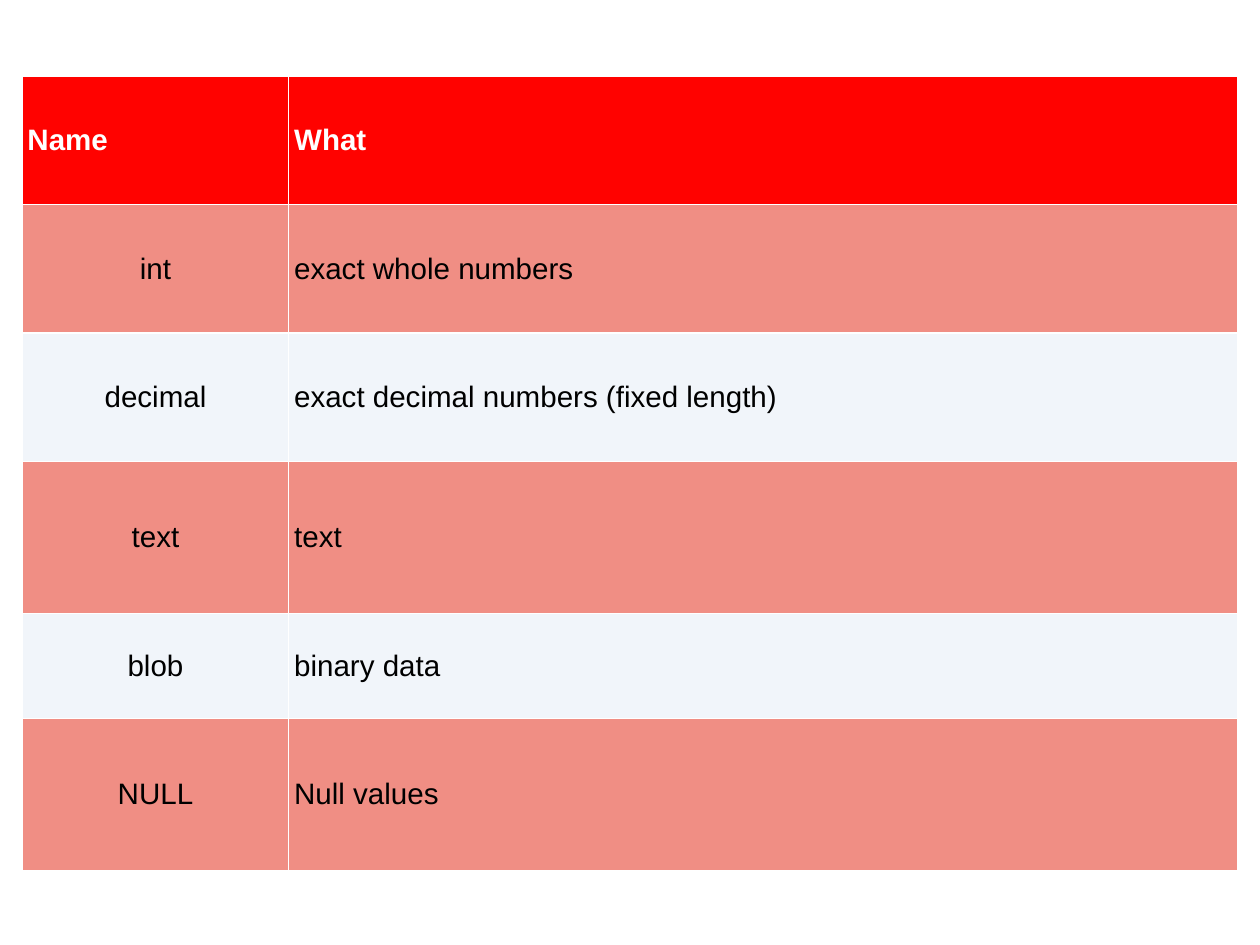
from lxml.etree import SubElement as Sub
from pptx import Presentation
from pptx.dml.color import RGBColor as RGB
from pptx.enum.text import MSO_ANCHOR as Anchor, PP_ALIGN as Align
from pptx.oxml.ns import qn
from pptx.util import Inches, Pt

THEME = {
    "font": "Arial",
    "size": Pt(24),
    "header": RGB.from_string("FF0200"),
    "bands": [RGB.from_string("F08E84"), RGB.from_string("F1F5FA")],
    "header_text": RGB.from_string("FFFFFF"),
    "body_text": RGB.from_string("000000"),
    "border": "FFFFFF",
    "border_width": Pt(1),
}
COLUMN_WIDTHS = [3.01, 10.71]
ROW_HEIGHTS = [1.45, 1.45, 1.45, 1.72, 1.18, 1.72]
DATA_TYPES = [
    ("Name", "What"),
    ("int", "exact whole numbers"),
    ("decimal", "exact decimal numbers (fixed length)"),
    ("text", "text"),
    ("blob", "binary data"),
    ("NULL", "Null values"),
]
CELL_FORMAT = {
    "vertical_anchor": Anchor.MIDDLE,
    "margin_left": Inches(0.06),
    "margin_right": Inches(0.06),
    "margin_top": Inches(0.06),
    "margin_bottom": Inches(0.06),
}


def set_borders(cell):
    properties = cell._tc.get_or_add_tcPr()
    for side in ("lnL", "lnR", "lnT", "lnB"):
        line = Sub(properties, qn(f"a:{side}"), w=str(THEME["border_width"]))
        fill = Sub(line, qn("a:solidFill"))
        Sub(fill, qn("a:srgbClr"), val=THEME["border"])


deck = Presentation()
deck.slide_width, deck.slide_height = Inches(14.22), Inches(10.67)
page = deck.slides.add_slide(deck.slide_layouts[6])

frame = page.shapes.add_table(
    len(ROW_HEIGHTS), len(COLUMN_WIDTHS), Inches(0.25), Inches(0.86),
    Inches(sum(COLUMN_WIDTHS)), Inches(sum(ROW_HEIGHTS)),
)
table = frame.table
for column, width in zip(table.columns, COLUMN_WIDTHS):
    column.width = Inches(width)
for row, height in zip(table.rows, ROW_HEIGHTS):
    row.height = Inches(height)

for row_index, texts in enumerate(DATA_TYPES):
    is_header = row_index == 0
    band = THEME["header"] if is_header else THEME["bands"][(row_index - 1) % 2]
    for column_index, text in enumerate(texts):
        cell = table.cell(row_index, column_index)
        for name, value in CELL_FORMAT.items():
            setattr(cell, name, value)
        set_borders(cell)
        cell.fill.solid()
        cell.fill.fore_color.rgb = band

        para = cell.text_frame.paragraphs[0]
        is_type_name = column_index == 0 and not is_header
        para.alignment = Align.CENTER if is_type_name else Align.LEFT
        span = para.add_run()
        span.text = text
        font_format = {"name": THEME["font"], "size": THEME["size"], "bold": is_header}
        for name, value in font_format.items():
            setattr(span.font, name, value)
        span.font.color.rgb = THEME["header_text" if is_header else "body_text"]

deck.save("out.pptx")
